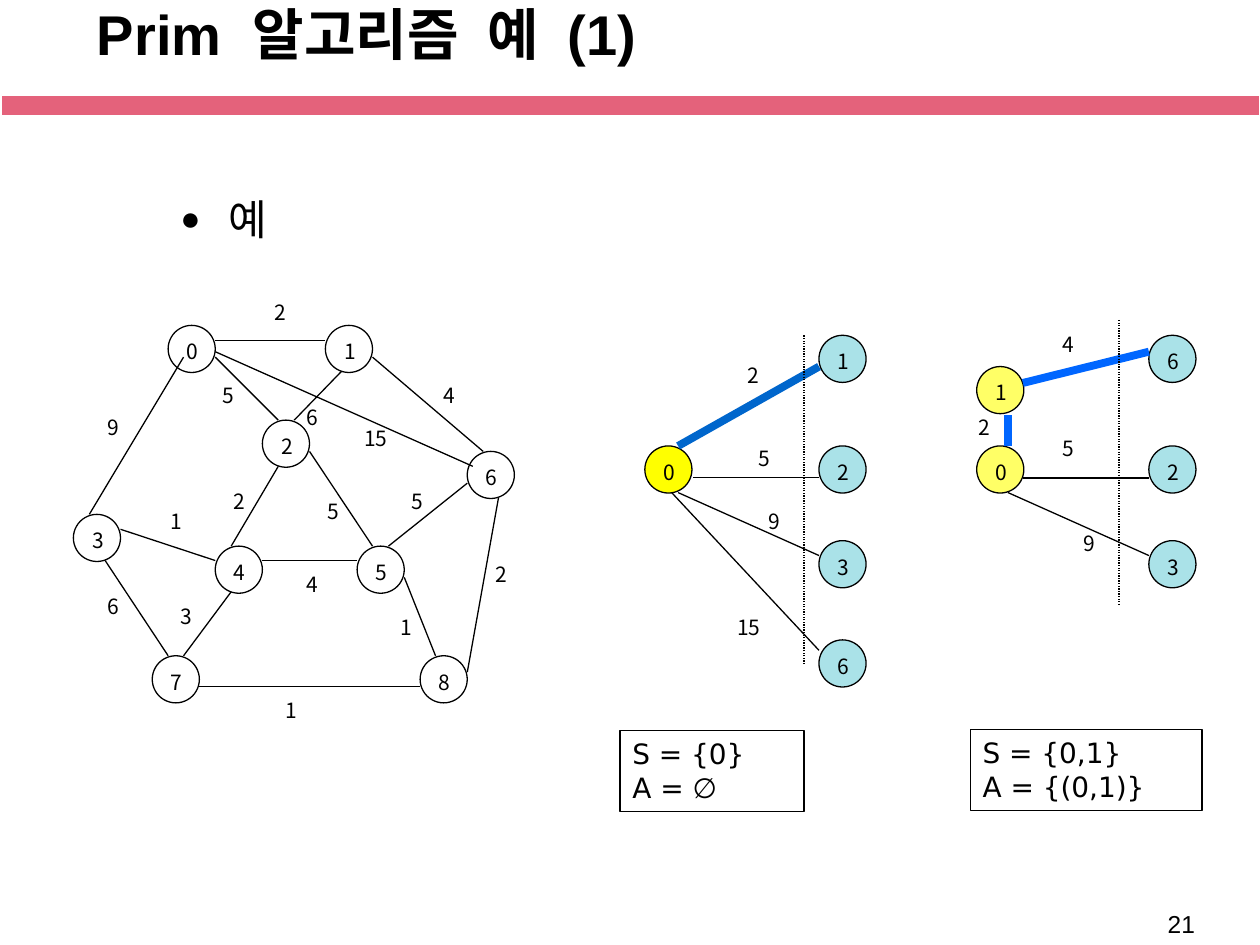
import pptx
import pptx.dml.color
import pptx.enum.dml
import pptx.enum.shapes
import pptx.enum.text
import pptx.oxml
import pptx.oxml.ns
import pptx.util

Cm, Pt = pptx.util.Cm, pptx.util.Pt
RGB = pptx.dml.color.RGBColor.from_string
SHAPE = pptx.enum.shapes.MSO_SHAPE
ALIGN = pptx.enum.text.PP_ALIGN
ANCHOR = pptx.enum.text.MSO_ANCHOR
qn = pptx.oxml.ns.qn

THEME = {
    "ink": "000000", "paper": "FFFFFF", "band": "E4627B",
    "start": "FFFF00", "chosen": "FFFF66", "candidate": "AAE2E8",
    "pick": "0066CC", "pick2": "0066FF",
    "latin": "Arial", "korean": "Noto Sans CJK KR", "sets": "DejaVu Sans",
    "title": 32, "body": 24, "set": 16, "page": 14, "label": 12,
    "thin": 0.75, "medium": 1, "thick": 4.5,
}


def write(p, text, font, size, bold=False):
    r = p.add_run()
    r.text = text
    values = {"name": THEME[font], "size": Pt(THEME[size]), "bold": bold}
    for name, value in values.items():
        setattr(r.font, name, value)
    r.font.color.rgb = RGB(THEME["ink"])
    ea = r.font._element.makeelement(qn("a:ea"), {"typeface": THEME["korean"]})
    r.font._element.find(qn("a:latin")).addnext(ea)
    return r


def add_shape(kind, left, top, width, height, fill, line="ink", weight="thin"):
    sp = s.shapes.add_shape(kind, Cm(left), Cm(top), Cm(width), Cm(height))
    sp.shadow.inherit = False
    if fill:
        sp.fill.solid()
        sp.fill.fore_color.rgb = RGB(THEME[fill])
    else:
        sp.fill.background()
    sp.line.color.rgb = RGB(THEME[line])
    sp.line.width = Pt(THEME[weight])
    return sp


prs = pptx.Presentation()
prs.slide_width, prs.slide_height = Cm(25.4), Cm(19.05)
s = prs.slides.add_slide(prs.slide_layouts[1])

# Band under the title
add_shape(SHAPE.RECTANGLE, 0.03, 1.91, 25.37, 0.43, "band", "paper", "medium")

# Title and body placeholders
title, body = s.shapes.title, s.placeholders[1]
for sp, box in ((title, (1.7, -0.2, 21.64, 1.73)), (body, (3.38, 3.78, 20.32, 1.27))):
    for name, value in zip(("left", "top", "width", "height"), box):
        setattr(sp, name, Cm(value))
    sp.text_frame.auto_size = pptx.enum.text.MSO_AUTO_SIZE.NONE

p = title.text_frame.paragraphs[0]
p.alignment = ALIGN.LEFT
for i, word in enumerate("Prim 알고리즘 예 (1)".split()):
    if i:
        gap = write(p, " ", "latin", "title", True)
        gap.font._element.set("spc", "900")
    write(p, word, "latin", "title", True)

p = body.text_frame.paragraphs[0]
p.alignment = ALIGN.LEFT
p.space_before = Pt(0)
pPr = p._p.get_or_add_pPr()
pPr.set("marL", str(Cm(0.97)))
pPr.set("indent", str(-Cm(0.97)))
ns = pptx.oxml.ns.nsdecls("a")
for bullet in (f'<a:buClr {ns}><a:srgbClr val="{THEME["ink"]}"/></a:buClr>',
               f'<a:buSzPct {ns} val="80000"/>',
               f'<a:buChar {ns} char="●"/>'):
    pPr.append(pptx.oxml.parse_xml(bullet))
write(p, "예", "korean", "body")

# Nodes: text, left, top, fill
top_row, mid_row, low_row, last_row = 6.76, 8.99, 10.9, 12.9
nodes = [
    # Full graph
    ("0", 3.39, 6.56, "paper"), ("1", 6.56, 6.56, "paper"), ("2", 5.29, 8.47, "paper"),
    ("3", 1.48, 10.37, "paper"), ("4", 4.34, 11.01, "paper"), ("5", 7.2, 11.01, "paper"),
    ("6", 9.42, 9.1, "paper"), ("7", 3.07, 13.22, "paper"), ("8", 8.47, 13.22, "paper"),
    # First step
    ("0", 13, mid_row, "start"),
    ("1", 16.51, top_row, "candidate"), ("2", 16.51, mid_row, "candidate"),
    ("3", 16.51, low_row, "candidate"), ("6", 16.51, last_row, "candidate"),
    # Second step
    ("0", 19.69, mid_row, "chosen"), ("1", 19.69, 7.39, "chosen"),
    ("6", 23.16, top_row, "candidate"), ("2", 23.16, mid_row, "candidate"),
    ("3", 23.16, low_row, "candidate"),
]
node_frame = {"margin_left": Cm(0.04), "margin_right": 0, "margin_top": Cm(0.1),
              "margin_bottom": 0, "word_wrap": False, "vertical_anchor": ANCHOR.MIDDLE}
for text, left, top, fill in nodes:
    sp = add_shape(SHAPE.OVAL, left, top, 0.95, 0.95, fill)
    for name, value in node_frame.items():
        setattr(sp.text_frame, name, value)
    p = sp.text_frame.paragraphs[0]
    p.alignment = ALIGN.CENTER
    write(p, text, "korean", "label")

# Edges: x1, y1, x2, y2, colour, weight, dotted
plain = ("ink", "thin", False)
dotted = ("ink", "thin", True)
edges = [
    # Full graph
    (4.34, 6.86, 6.56, 6.86, *plain), (3.7, 7.2, 1.8, 10.37, *plain),
    (2.43, 10.67, 4.34, 11.3, *plain), (5.61, 9.4, 4.66, 11.01, *plain),
    (6.24, 9.1, 7.51, 11.01, *plain), (4.34, 7.2, 5.61, 8.47, *plain),
    (6.88, 7.49, 5.93, 8.47, *plain), (9.42, 9.74, 7.83, 11.01, *plain),
    (7.51, 7.2, 9.74, 9.1, *plain), (2.12, 11.3, 3.39, 13.22, *plain),
    (4.66, 11.93, 3.7, 13.22, *plain), (4.02, 13.84, 8.47, 13.84, *plain),
    (5.29, 11.3, 7.2, 11.3, *plain), (8.15, 11.64, 8.78, 13.22, *plain),
    (10.05, 10.03, 9.42, 13.55, *plain), (4.34, 7.09, 9.53, 9.4, *plain),
    # First step
    (13.67, 8.99, 16.51, 7.39, "pick", "thick", False),
    (13.97, 9.63, 16.51, 9.63, *plain), (13.67, 9.93, 16.51, 11.2, *plain),
    (13.54, 9.93, 16.51, 13.11, *plain), (16.21, 13.39, 16.21, 6.76, *dotted),
    # Second step
    (20.32, 8.99, 20.32, 8.36, "pick2", "thick", False),
    (20.62, 7.72, 23.16, 7.09, "pick2", "thick", False),
    (20.62, 9.63, 23.16, 9.63, "ink", "medium", False),
    (20.32, 9.93, 23.16, 11.2, *plain), (22.56, 6.45, 22.56, 12.22, *dotted),
]
for x1, y1, x2, y2, colour, weight, is_dotted in edges:
    cx = s.shapes.add_connector(pptx.enum.shapes.MSO_CONNECTOR.STRAIGHT,
                                Cm(x1), Cm(y1), Cm(x2), Cm(y2))
    cx.line.color.rgb = RGB(THEME[colour])
    cx.line.width = Pt(THEME[weight])
    if is_dotted:
        cx.line.dash_style = pptx.enum.dml.MSO_LINE.ROUND_DOT
    spPr = cx._element.spPr
    spPr.append(spPr.makeelement(qn("a:effectLst"), {}))

# Edge weights: text, left, top
weights = [
    # Full graph
    ("2", 5.28, 5.92), ("9", 1.91, 8.23), ("5", 4.24, 7.59), ("6", 5.92, 8.03),
    ("4", 8.69, 7.59), ("1", 3.18, 10.13), ("6", 1.91, 11.84), ("4", 5.92, 11.4),
    ("5", 6.35, 9.93), ("2", 4.45, 9.73), ("5", 8.05, 9.73), ("2", 9.73, 11.2),
    ("1", 7.82, 12.27), ("3", 3.38, 12.04), ("15", 7.09, 8.46), ("1", 5.51, 13.94),
    # First step
    ("2", 14.81, 7.19), ("5", 15.04, 8.86), ("9", 15.24, 10.13), ("15", 14.61, 12.27),
    # Second step
    ("2", 19.48, 8.23), ("9", 21.59, 10.57), ("5", 21.16, 8.66), ("4", 21.16, 6.55),
]
for text, left, top in weights:
    width = 0.76 if len(text) == 1 else 1.2
    sp = s.shapes.add_textbox(Cm(left), Cm(top), Cm(width), Cm(0.76))
    sp.text_frame.word_wrap = len(text) > 1
    write(sp.text_frame.paragraphs[0], text, "korean", "label")

# Set boxes below each step
for left, top, width, lines in ((12.5, 14.73, 3.71, ("S = {0}", "A = ∅")),
                                (19.56, 14.71, 4.67, ("S = {0,1}", "A = {(0,1)}"))):
    sp = add_shape(SHAPE.RECTANGLE, left, top, width, 1.63, None)
    tf = sp.text_frame
    tf.vertical_anchor = ANCHOR.TOP
    for i, text in enumerate(lines):
        p = tf.add_paragraph() if i else tf.paragraphs[0]
        p.alignment = ALIGN.LEFT
        write(p, text, "sets", "set")

# Page number
sp = s.shapes.add_textbox(Cm(23.29), Cm(18.21), Cm(1.45), Cm(0.84))
sp.text_frame.word_wrap = True
write(sp.text_frame.paragraphs[0], "21", "latin", "page")

prs.save("out.pptx")
